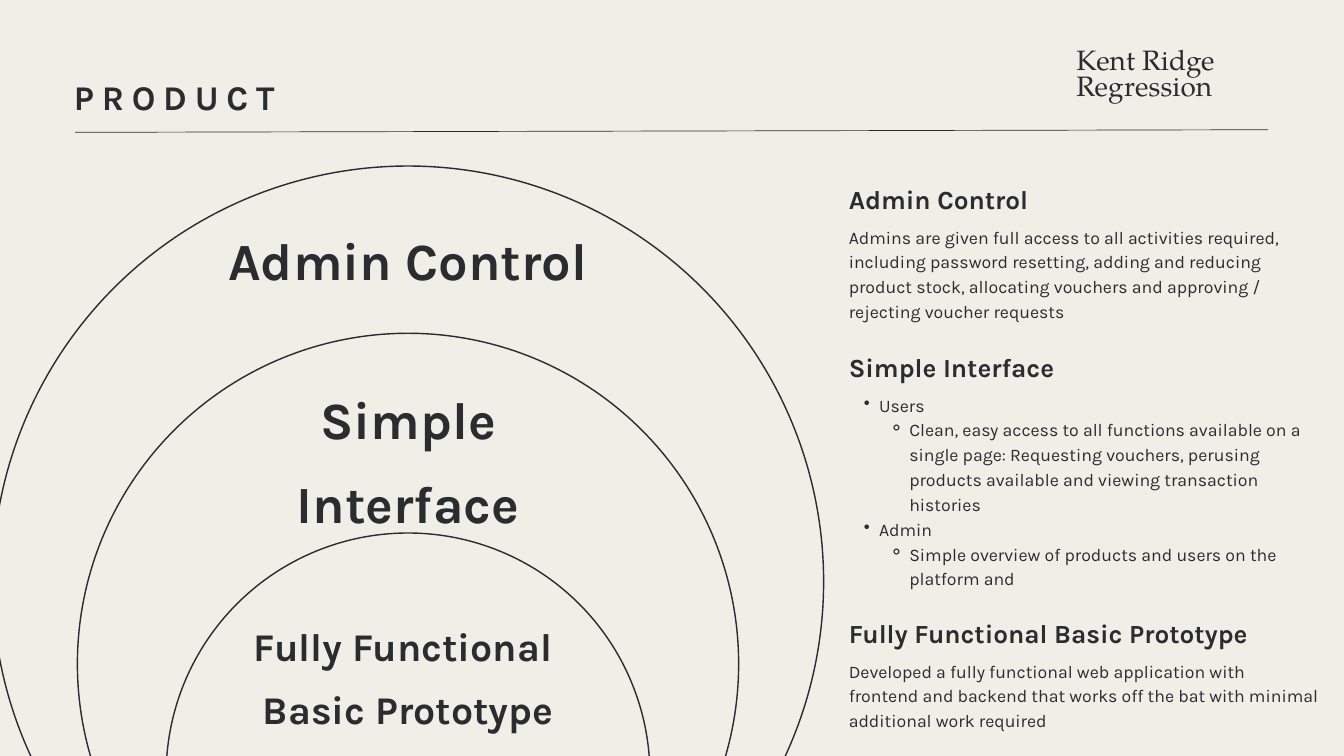
from lxml import etree
from pptx import Presentation
from pptx.dml.color import RGBColor
from pptx.enum.shapes import MSO_CONNECTOR, MSO_SHAPE
from pptx.enum.text import MSO_AUTO_SIZE, PP_ALIGN
from pptx.oxml.ns import qn
from pptx.util import Pt

STRAIGHT = MSO_CONNECTOR.STRAIGHT
OVAL = MSO_SHAPE.OVAL
GROW = MSO_AUTO_SIZE.SHAPE_TO_FIT_TEXT
LEFT, CENTER = PP_ALIGN.LEFT, PP_ALIGN.CENTER
INK, PAPER = "2B2C30", "EFEEE7"
SANS, SERIF = "Karla", "TeX Gyre Pagella"
MARKS = {1: ("•", 32.4, -16.2), 2: ("⚬", 64.8, -21.6)}

NOTES = [
    (0, "Admin Control", [
        (0, "Admins are given full access to all activities required, including "
            "password resetting, adding and reducing product stock, allocating "
            "vouchers and approving / rejecting voucher requests")], 104),
    (180, "Simple Interface", [
        (1, "Users"),
        (2, "Clean, easy access to all functions available on a single page: "
            "Requesting vouchers, perusing products available and viewing "
            "transaction histories"),
        (1, "Admin"),
        (2, "Simple overview of products and users on the platform and")], 209),
    (465, "Fully Functional Basic Prototype", [
        (0, "Developed a fully functional web application with frontend and "
            "backend that works off the bat with minimal additional work "
            "required")], 77),
]


def color(code):
    return RGBColor.from_string(code)


def bullet(para, level):
    mark, margin, indent = MARKS[level]
    para.level = level
    props = para._p.get_or_add_pPr()
    props.set("marL", str(Pt(margin)))
    props.set("indent", str(Pt(indent)))
    etree.SubElement(props, qn("a:buChar")).set("char", mark)


def write(slide, box, rows, size, lead, bold=False, align=LEFT, face=SANS, track=0):
    frame = slide.shapes.add_textbox(*map(Pt, box)).text_frame
    frame.word_wrap = True
    frame.auto_size = GROW
    frame.margin_left = frame.margin_right = 0
    frame.margin_top = frame.margin_bottom = 0
    for i, (level, text) in enumerate(rows):
        para = frame.add_paragraph() if i else frame.paragraphs[0]
        para.alignment = align
        para.line_spacing = Pt(lead)
        if level:
            bullet(para, level)
        run = para.add_run()
        run.text = text
        font = run.font
        font.name, font.size, font.bold = face, Pt(size), bold
        font.color.rgb = color(INK)
        if track:
            run._r.get_or_add_rPr().set("spc", str(round(track * 100)))


def header(slide, x, y, width):
    rule = slide.shapes.add_connector(
        STRAIGHT, Pt(x + 1.4), Pt(y + 67.6), Pt(x + width), Pt(y + 64.8))
    rule.line.color.rgb = color(INK)
    rule.line.width = Pt(0.75)
    etree.SubElement(rule._element.spPr, qn("a:effectLst"))
    write(slide, (x, y, width, 51), [(0, "PRODUCT")], 37.1, 52,
          bold=True, track=8.4)
    write(slide, (x + 1074.2, y - 19.5, 175, 57.6),
          [(0, "Kent Ridge"), (0, "Regression")], 29.9, 27.2,
          face=SERIF, track=0.1)


def rings(slide, x, y, width):
    mid = x + width / 2
    for top, span in ((0, width), (179.2, 708.5), (393.2, 518.4)):
        ring = slide.shapes.add_shape(
            OVAL, Pt(mid - span / 2), Pt(y + top), Pt(span), Pt(span))
        ring.shadow.inherit = False
        ring.fill.background()
        ring.line.color.rgb = color(INK)
        ring.line.width = Pt(1.5)
    labels = [
        (44.6, 403.2, 84.2, ["Admin Control"], 56),
        (214.6, 403.2, 173.5, ["Simple Interface"], 56),
        (472.3, 460.8, 130.3, ["Fully Functional ", "Basic Prototype"], 42),
    ]
    for top, span, height, lines, size in labels:
        write(slide, (mid - span / 2, y + top, span, height),
              [(0, line) for line in lines], size, size * 1.6,
              bold=True, align=CENTER)


def notes(slide, x, y, width):
    for top, title, rows, height in NOTES:
        write(slide, (x, y + top, width, 37.4), [(0, title)], 28, 39.2, bold=True)
        write(slide, (x, y + top + 48, width, height), rows, 19, 26.6)


def main():
    deck = Presentation()
    deck.slide_width, deck.slide_height = Pt(1440), Pt(810)
    slide = deck.slides.add_slide(deck.slide_layouts[6])
    fill = slide.background.fill
    fill.solid()
    fill.fore_color.rgb = color(PAPER)
    header(slide, 79.2, 74.2, 1279.4)
    rings(slide, -8.1, 177.9, 890.6)
    notes(slide, 909.4, 190.8, 503.3)
    deck.save("out.pptx")


if __name__ == "__main__":
    main()
